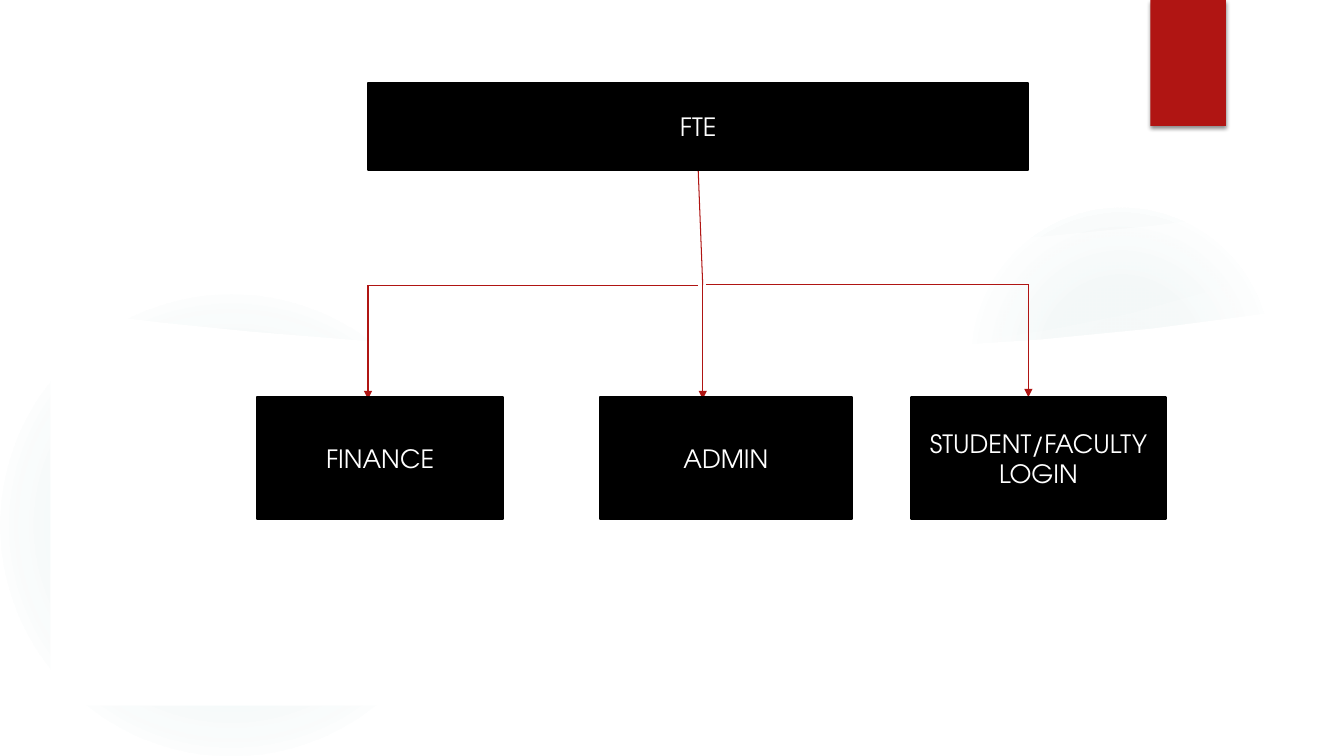
from pptx import Presentation
from pptx.dml.color import RGBColor
from pptx.enum.shapes import MSO_CONNECTOR, MSO_SHAPE
from pptx.enum.text import MSO_ANCHOR, PP_ALIGN
from pptx.oxml import parse_xml
from pptx.oxml.ns import nsdecls, qn
from pptx.util import Pt
from lxml.etree import SubElement

PX = 9144  # 100 px to the inch
RED, BLACK, WHITE, TEAL = "B01513", "000000", "FFFFFF", "5F9C9D"
FONT = "TeX Gyre Adventor"


def px(*lengths):
    return [length * PX for length in lengths]


def paint(fmt, color):
    """Give a fill or font colour format a solid hex colour."""
    if hasattr(fmt, "solid"):
        fmt.solid()
        fmt = fmt.fore_color
    fmt.rgb = RGBColor.from_string(color)


prs = Presentation()
prs.slide_width, prs.slide_height = px(1333, 750)
s = prs.slides.add_slide(prs.slide_layouts[6])

# Background: soft glows, each layer cut off by a curved white panel
RIGHT_GLOW = (958, 308, [(0, 7), (36, 6), (69, 0)])
LEFT_GLOW = (0, 458, [(0, 11), (36, 10), (75, 0)])
PANEL = [(50, 306), (94, 312), (159, 320), (248, 329), (359, 338), (488, 345),
         (607, 349), (707, 350), (813, 349), (921, 344), (1031, 337),
         (1143, 326), (1227, 315), (1283, 307), (1283, 700), (50, 700)]
SHEEN = [(934, 350), (1060, 346), (1175, 332), (1289, 314), (1283, 266),
         (1213, 285), (1121, 311), (1042, 327), (949, 341), (930, 344)]
layers = [
    (-102, [(*RIGHT_GLOW, 200)]),
    (0, [(*RIGHT_GLOW, 200), (*LEFT_GLOW, 292)]),
]
for shift, glows in layers:
    for left, size, stops, top in glows:
        sp = s.shapes.add_shape(MSO_SHAPE.OVAL, *px(left, top, size, size))
        sp.shadow.inherit = False
        sp.line.fill.background()
        stops_xml = "".join(
            f'<a:gs pos="{pos * 1000}"><a:srgbClr val="{TEAL}">'
            f'<a:alpha val="{alpha * 1000}"/></a:srgbClr></a:gs>'
            for pos, alpha in stops)
        sp.element.spPr.insert(2, parse_xml(
            f'<a:gradFill {nsdecls("a")}><a:gsLst>{stops_xml}</a:gsLst>'
            '<a:path path="circle"><a:fillToRect l="50000" t="50000" '
            'r="50000" b="50000"/></a:path></a:gradFill>'))
    for outline, opacity in [(PANEL, 100), (SHEEN, 20)]:
        points = [(x, y + shift) for x, y in outline]
        builder = s.shapes.build_freeform(*points[0], scale=PX)
        builder.add_line_segments(points[1:])
        sp = builder.convert_to_shape()
        sp.shadow.inherit = False
        sp.line.fill.background()
        paint(sp.fill, WHITE)
        if opacity < 100:
            color = sp.element.spPr.find(f'{qn("a:solidFill")}/{qn("a:srgbClr")}')
            SubElement(color, qn("a:alpha"), val=str(opacity * 1000))

# Red tab with a soft shadow
tab = s.shapes.add_shape(MSO_SHAPE.RECTANGLE, *px(1141, 0, 75, 125))
paint(tab.fill, RED)
tab.line.fill.background()
tab.element.spPr.append(parse_xml(
    f'<a:effectLst {nsdecls("a")}><a:outerShdw blurRad="38100" dist="25400" '
    f'dir="5400000" rotWithShape="0"><a:srgbClr val="{BLACK}">'
    '<a:alpha val="45000"/></a:srgbClr></a:outerShdw></a:effectLst>'))

# Connecting lines: trunk, two branches, three arrows
lines = [
    (692, 169, 697, 283, False),
    (700, 282, 1020, 282, False),
    (692, 283, 365, 283, False),
    (697, 283, 697, 396, True),
    (1020, 282, 1020, 394, True),
    (365, 283, 365, 396, True),
]
connectors = []
for *ends, arrow in lines:
    line = s.shapes.add_connector(MSO_CONNECTOR.STRAIGHT, *px(*ends))
    paint(line.line.fill, RED)
    line.line.width = Pt(0.75)
    if arrow:
        SubElement(line.line._get_or_add_ln(), qn("a:tailEnd"), type="triangle")
    SubElement(line.element.spPr, qn("a:effectLst"))
    connectors.append(line)

# Boxes
boxes = [
    ("FTE", 365, 82, 655, 87),
    ("FINANCE", 255, 394, 244, 121),
    ("ADMIN", 595, 394, 250, 121),
    ("STUDENT/FACULTY LOGIN", 904, 394, 252, 121),
]
for label, *frame in boxes:
    sp = s.shapes.add_shape(MSO_SHAPE.RECTANGLE, *px(*frame))
    sp.shadow.inherit = False
    paint(sp.fill, BLACK)
    paint(sp.line.fill, BLACK)
    sp.line.width = Pt(1.5)
    tf = sp.text_frame
    tf.word_wrap = True
    tf.vertical_anchor = MSO_ANCHOR.MIDDLE
    p = tf.paragraphs[0]
    p.text = label
    p.alignment = PP_ALIGN.CENTER
    p.font.name, p.font.size = FONT, Pt(18)
    paint(p.font.color, WHITE)
    if label == "FTE":
        connectors[0].begin_connect(sp, 2)

prs.save("out.pptx")
